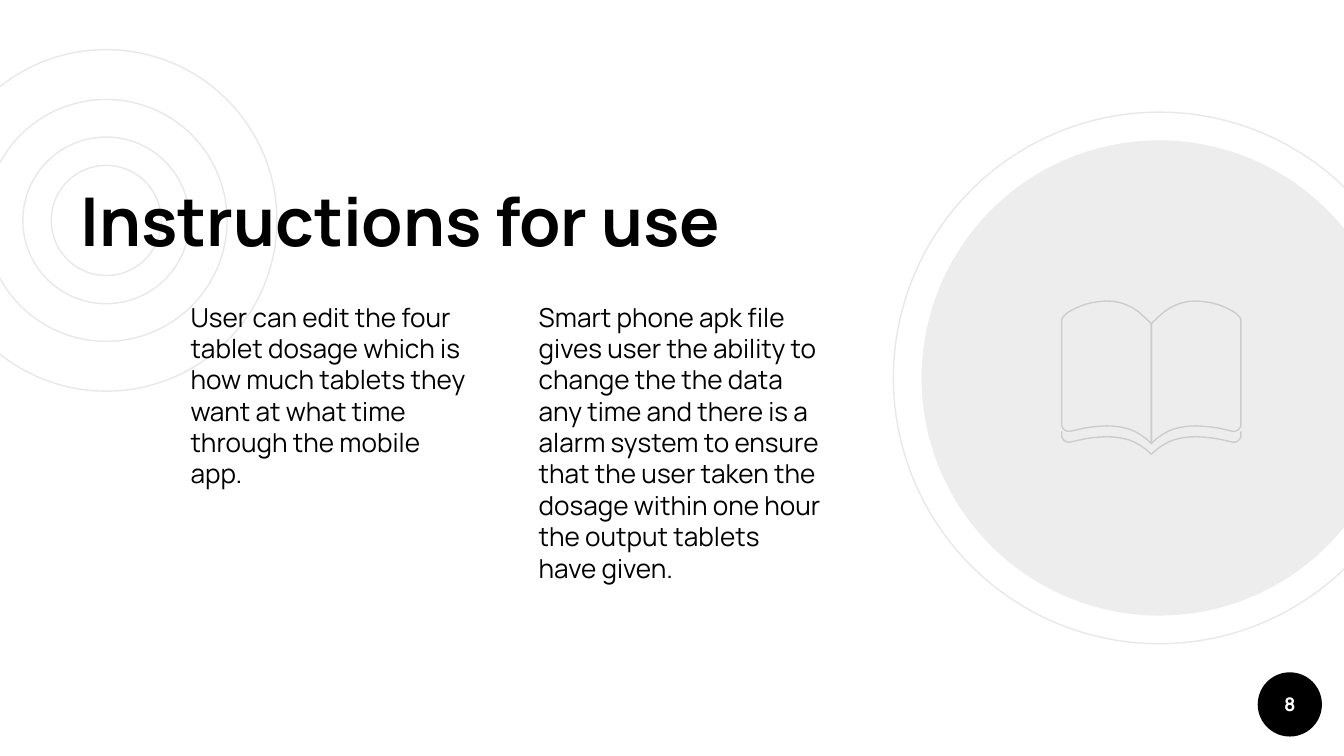
from lxml.etree import SubElement
from pptx import Presentation
from pptx.dml.color import RGBColor
from pptx.enum.shapes import MSO_SHAPE
from pptx.enum.text import MSO_ANCHOR, PP_ALIGN
from pptx.oxml.ns import qn
from pptx.util import Pt


def style(shape, fill=None, line=None):
    """Set hex fill and line colours; None leaves that part empty."""
    shape.shadow.inherit = False
    shape.fill.background()
    shape.line.fill.background()
    if fill:
        shape.fill.solid()
        shape.fill.fore_color.rgb = RGBColor.from_string(fill)
    if line:
        shape.line.color.rgb = RGBColor.from_string(line)
        shape.line.width = Pt(0.75)


def write(text_frame, text, size, color="000000", bold=False):
    text_frame.word_wrap = True
    text_frame.margin_left = text_frame.margin_right = Pt(7.2)
    text_frame.margin_top = text_frame.margin_bottom = Pt(7.2)
    paragraph = text_frame.paragraphs[0]
    paragraph.text = text
    font = paragraph.runs[0].font
    font.name, font.size, font.bold = "Manrope", Pt(size), bold
    font.color.rgb = RGBColor.from_string(color)
    return paragraph


presentation = Presentation()
presentation.slide_width, presentation.slide_height = Pt(720), Pt(405)
slide = presentation.slides.add_slide(presentation.slide_layouts[6])
shapes = slide.shapes

# Circles: centre x, centre y, diameter, fill, line
circles = [(56.9, 118.1, diameter, None, "E8E8E8") for diameter in (183, 129.6, 89.3, 59)]
circles += [
    (621, 202.5, 284.8, None, "E8E8E8"),
    (621, 202.5, 254.6, "000000", None),
    (691, 377.4, 34.4, "000000", None),
]
for center_x, center_y, diameter, fill, line in circles:
    circle = shapes.add_shape(
        MSO_SHAPE.OVAL, Pt(center_x - diameter / 2), Pt(center_y - diameter / 2),
        Pt(diameter), Pt(diameter))
    style(circle, fill, line)
    if diameter == 254.6:
        color = circle.fill._xPr.find(qn("a:solidFill"))[0]
        SubElement(color, qn("a:alpha"), val="7000")
page_number = circle

# Title and page number
title = shapes.add_textbox(Pt(36), Pt(92.2), Pt(411), Pt(54))
title.text_frame.vertical_anchor = MSO_ANCHOR.BOTTOM
write(title.text_frame, "Instructions for use", 36, bold=True)

page_number.text_frame.vertical_anchor = MSO_ANCHOR.MIDDLE
number = write(page_number.text_frame, "8", 10, "FFFFFF", True)
number.alignment = PP_ALIGN.CENTER

# Open book: each curve runs as (distance from the spine, y)
spine_x = 616.8
cover_edge = [
    (48, 234), (47.5, 235), (46.5, 236.2), (45, 236.9), (43.5, 236.9),
    (40, 236.1), (36, 235.2), (32, 234.6), (28, 234.2), (24, 234), (21, 234.1),
    (18, 234.4), (15, 234.9), (12, 235.7), (9, 236.9), (6, 238.6), (3, 240.7),
    (0, 243.4),
]
page_bottom = [(distance, y - 5.8) for distance, y in cover_edge]
page_top = [
    (0, 174.2), (0.4, 173), (2, 171.5), (4, 169.6), (7, 167), (10, 165),
    (13, 163.5), (16, 162.4), (20, 161.5), (24, 161.3), (28, 161.6),
    (32, 162.2), (36, 163.3), (40, 164.9), (43, 166.4), (45.5, 168),
    (47, 169.5), (47.7, 170.5), (48, 171.4),
]
for side in (-1, 1):
    for points, closed in (([(48, 231.1)] + cover_edge, False),
                           (page_top + page_bottom, True)):
        outline = [(Pt(spine_x + side * distance), Pt(y)) for distance, y in points]
        builder = shapes.build_freeform(*outline[0], scale=1.0)
        builder.add_line_segments(outline[1:], close=closed)
        style(builder.convert_to_shape(), line="CCCCCC")

# Two columns of instructions
columns = [
    (84.2, "User can edit the four tablet dosage which is how much tablets they "
           "want at what time through the mobile app."),
    (270.7, "Smart phone apk file gives user the ability to change the the data "
            "any time and there is a alarm system to ensure that the user taken "
            "the dosage within one hour the output tablets have given."),
]
for left, text in columns:
    column = shapes.add_textbox(Pt(left), Pt(154), Pt(176.4), Pt(206))
    paragraph = write(column.text_frame, text, 14)
    paragraph.space_before = Pt(6)
    properties = paragraph._p.get_or_add_pPr()
    properties.set("marL", str(Pt(10.8)))
    properties.set("indent", "0")

presentation.save("out.pptx")
